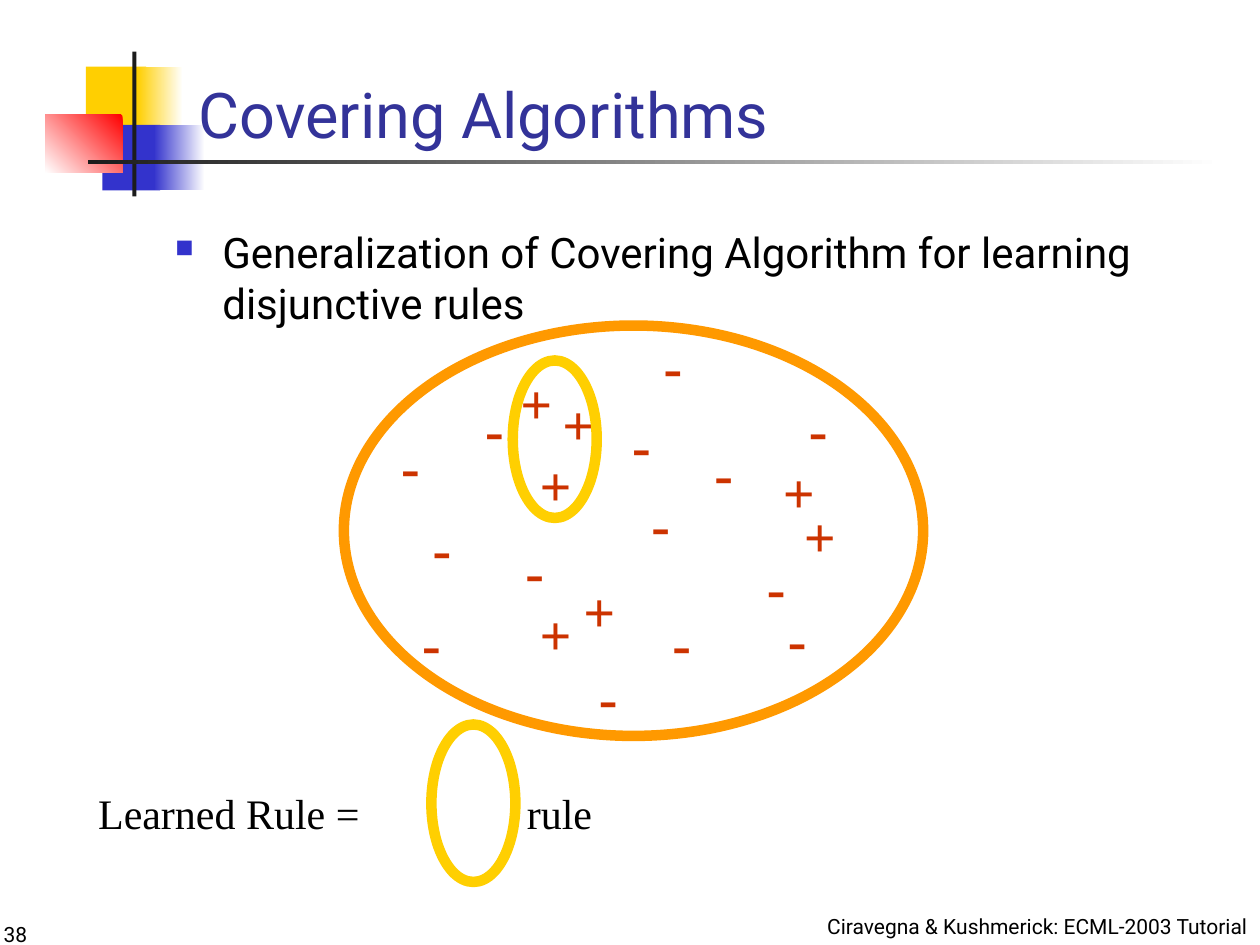
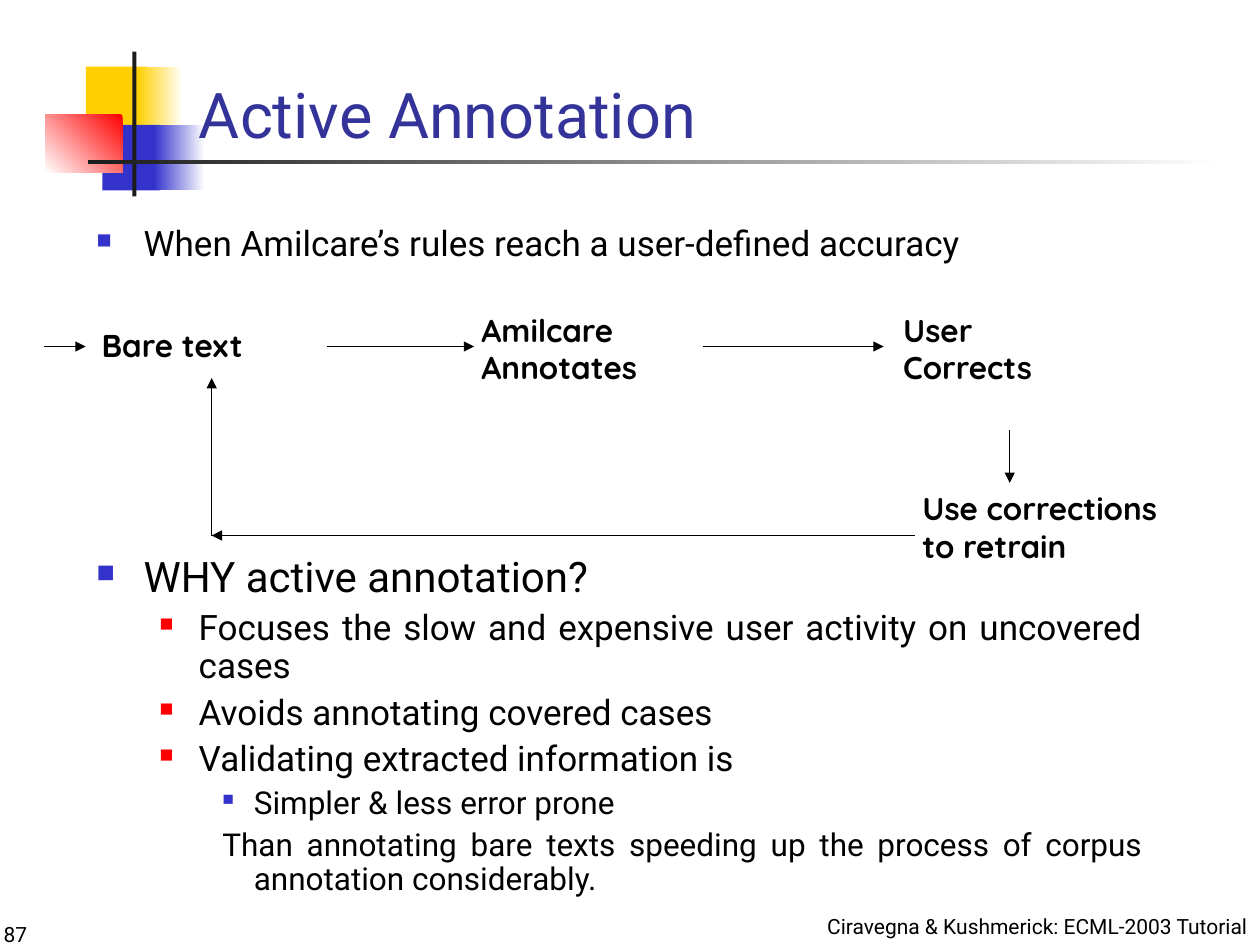
from dataclasses import dataclass

from lxml.etree import SubElement
from pptx import Presentation
from pptx.dml.color import RGBColor
from pptx.enum.shapes import MSO_CONNECTOR, MSO_SHAPE
from pptx.enum.text import MSO_ANCHOR, MSO_AUTO_SIZE, PP_ALIGN
from pptx.oxml.ns import qn
from pptx.util import Pt


@dataclass(frozen=True)
class Theme:
    # Colours
    title: str = "333399"
    text: str = "000000"
    white: str = "FFFFFF"
    yellow: str = "FFCF01"
    blue: str = "3333CC"
    red: str = "FF0000"
    bar: str = "1C1C1C"
    orange: str = "FF9900"
    sign: str = "CC3300"
    # Fonts
    sans: str = "Roboto"
    serif: str = "Times New Roman"
    flow: str = "Quicksand"
    # Type sizes
    title_size: int = 36
    sign_size: int = 32
    large: int = 24
    medium: int = 20
    small: int = 18
    footer_size: int = 12


T = Theme()
FOOTER = "Ciravegna & Kushmerick: ECML-2003 Tutorial"

# Bullet levels: left margin, hanging indent, bullet colour, bullet percent
LEVELS = [(27, 27, T.blue, 60), (58.5, 22.5, T.red, 55), (90, 18, T.blue, 50)]


def rgb(value):
    return RGBColor.from_string(value)


def apply(target, values):
    for name, value in values.items():
        setattr(target, name, value)


# ---- Basic parts ----

def style_run(r, size, font=T.sans, color=T.text, bold=False):
    apply(r.font, {"size": Pt(size), "name": font, "bold": bold})
    r.font.color.rgb = rgb(color)


def write(tf, lines, size, font=T.sans, color=T.text, bold=False,
          align=PP_ALIGN.LEFT, anchor=MSO_ANCHOR.TOP, wrap=True):
    apply(tf, {"word_wrap": wrap, "vertical_anchor": anchor,
               "auto_size": MSO_AUTO_SIZE.NONE})
    for i, line in enumerate(lines):
        p = tf.add_paragraph() if i else tf.paragraphs[0]
        p.alignment = align
        r = p.add_run()
        r.text = line
        style_run(r, size, font, color, bold)


def text_box(s, box, lines, size, **style):
    tb = s.shapes.add_textbox(*map(Pt, box))
    write(tb.text_frame, lines, size, **style)


def shape(s, kind, box):
    sp = s.shapes.add_shape(kind, *map(Pt, box))
    sp.shadow.inherit = False
    return sp


def ring(s, box, color):
    sp = shape(s, MSO_SHAPE.OVAL, box)
    sp.fill.background()
    sp.line.color.rgb = rgb(color)
    sp.line.width = Pt(6)


def block(s, box, colors, angle):
    sp = shape(s, MSO_SHAPE.RECTANGLE, box)
    sp.line.fill.background()
    if len(colors) == 1:
        sp.fill.solid()
        sp.fill.fore_color.rgb = rgb(colors[0])
    else:
        sp.fill.gradient()
        sp.fill.gradient_angle = angle
        for stop, color in zip(sp.fill.gradient_stops, colors):
            stop.color.rgb = rgb(color)
    return sp


def arrow(s, x1, y1, x2, y2):
    c = s.shapes.add_connector(MSO_CONNECTOR.STRAIGHT,
                               *map(Pt, (x1, y1, x2, y2)))
    c.line.color.rgb = rgb(T.text)
    c.line.width = Pt(0.75)
    SubElement(c.line._get_or_add_ln(), qn("a:tailEnd"), type="triangle")
    SubElement(c._element.spPr, qn("a:effectLst"))


def bullets(s, box, items, spacing=1.0, align=PP_ALIGN.LEFT):
    """Each item is (level, size, has bullet, text)."""
    tb = s.shapes.add_textbox(*map(Pt, box))
    tf = tb.text_frame
    tf.word_wrap = True
    for i, (level, size, marked, text) in enumerate(items):
        p = tf.add_paragraph() if i else tf.paragraphs[0]
        margin, hang, color, percent = LEVELS[level]
        pPr = p._p.get_or_add_pPr()
        pPr.set("marL", str(Pt(margin)))
        pPr.set("indent", str(-Pt(hang)))
        if marked:
            clr = SubElement(pPr, qn("a:buClr"))
            SubElement(clr, qn("a:srgbClr"), val=color)
            SubElement(pPr, qn("a:buSzPct"), val=str(percent * 1000))
            SubElement(pPr, qn("a:buChar"), char="■")
        else:
            SubElement(pPr, qn("a:buNone"))
        apply(p, {"alignment": align, "line_spacing": spacing,
                  "space_before": Pt(size / 4 if i else 0)})
        r = p.add_run()
        r.text = text
        style_run(r, size)


# ---- Shared frame ----

def decorate_layout(s, layout):
    """Build the corner blocks and rule once, beneath the layout's text."""
    parts = [
        ((49, 38, 34.5, 37.5), [T.yellow], 0),
        ((78.5, 38, 26, 37.5), [T.white, T.yellow], 180),
        ((58.5, 71.3, 33, 37.5), [T.blue], 0),
        ((88, 71.3, 29, 37.5), [T.white, T.blue], 180),
        ((26, 65.5, 44, 33.2), [T.red, T.white], 225),
        ((75.6, 29.5, 2.4, 82.8), [T.bar], 0),
        ((50.5, 91.2, 648, 2.8), [T.white, T.bar], 180),
    ]
    for i, part in enumerate(parts):
        sp = block(s, *part)
        layout.shapes._spTree.insert(2 + i, sp._element)


def add_slide(prs, title, number):
    s = prs.slides.add_slide(prs.slide_layouts[5])
    ph = s.shapes.title
    apply(ph, {"left": Pt(106.5), "top": Pt(0),
               "width": Pt(613.5), "height": Pt(90)})
    write(ph.text_frame, [title], T.title_size, color=T.title,
          anchor=MSO_ANCHOR.BOTTOM)
    text_box(s, (348, 504, 372, 36), [FOOTER], T.footer_size,
             align=PP_ALIGN.RIGHT, anchor=MSO_ANCHOR.BOTTOM)
    text_box(s, (-5, 508.5, 72, 36), [number], T.footer_size,
             anchor=MSO_ANCHOR.BOTTOM)
    return s


# ---- Covering algorithms ----

def example_set(s, box):
    left, top, width, height = box
    ring(s, box, T.orange)
    # Centres of the examples, from the corner of the set
    examples = {
        "+": [(110, 44), (121, 91), (134, 56), (121, 176), (146, 163),
              (260, 95), (272, 120)],
        "-": [(217, 84), (86, 59), (56, 127), (109, 140), (181, 113),
              (193, 181), (247, 149), (259, 179), (271, 59), (188, 23),
              (170, 68), (38, 80), (50, 181), (151, 212)],
    }
    w, h = 32, 46
    for sign, centres in examples.items():
        for x, y in centres:
            text_box(s, (left + x - w / 2, top + y - h / 2, w, h), [sign],
                     T.sign_size, font=T.serif, color=T.sign, bold=True,
                     align=PP_ALIGN.CENTER, wrap=False)
    ring(s, (left + 96.5, top + 20, 48, 90), T.yellow)


def rule_legend(s, box):
    left, top, width, height = box
    for x, text in [(0, "Learned Rule ="), (245, "rule")]:
        text_box(s, (left + x, top + 32.5, 160, 36), [text], T.large,
                 font=T.serif, wrap=False)
    ring(s, (left + 197.5, top, 48, height), T.yellow)


def covering_slide(prs):
    s = add_slide(prs, "Covering Algorithms", "38")
    decorate_layout(s, s.slide_layout)
    bullets(s, (93, 126, 612, 357), [
        (0, T.large, True, "Generalization of Covering Algorithm for "
                           "learning disjunctive rules")])
    example_set(s, (196.5, 186, 331, 234.5))
    rule_legend(s, (49, 414, 290, 90))


# ---- Active annotation ----

def annotation_cycle(s, box):
    left, top, width, height = box
    steps = [
        ((26, 8.5, 97, 29), ["Bare text"]),
        ((243, 0, 107, 50), ["Amilcare", "Annotates"]),
        ((484, 0, 90, 50), ["User", "Corrects"]),
        ((495, 102, 158, 50), ["Use corrections", "to retrain"]),
    ]
    for (x, y, w, h), lines in steps:
        text_box(s, (left + x, top + y, w, h), lines, T.small,
                 font=T.flow, bold=True, wrap=False)

    row, back, turn = 24, 132, 96
    arrows = [
        (0, row, 24, row), (162, row, 246, row), (377, row, 480, row),
        (552, 72, 552, 102),
        (498, back, turn, back), (turn, back, turn, 42),
    ]
    for x1, y1, x2, y2 in arrows:
        arrow(s, left + x1, top + y1, left + x2, top + y2)


def annotation_slide(prs):
    s = add_slide(prs, "Active Annotation", "87")
    bullets(s, (48, 126, 612, 40), [
        (0, T.medium, True,
         "When Amilcare’s rules reach a user-defined accuracy")], 0.9)
    annotation_cycle(s, (25, 174, 653, 152))
    bullets(s, (48, 314.5, 612, 213), [
        (0, T.large, True, "WHY active annotation?"),
        (1, T.medium, True, "Focuses the slow and expensive user activity "
                            "on uncovered cases"),
        (1, T.medium, True, "Avoids annotating covered cases"),
        (1, T.medium, True, "Validating extracted information is"),
        (2, T.small, True, "Simpler & less error prone"),
        (2, T.small, False, "Than annotating bare texts speeding up the "
                            "process of corpus annotation considerably."),
    ], 0.9, PP_ALIGN.JUSTIFY)


def main():
    prs = Presentation()
    prs.slide_width, prs.slide_height = Pt(720), Pt(540)
    covering_slide(prs)
    annotation_slide(prs)
    prs.save("out.pptx")


if __name__ == "__main__":
    main()
